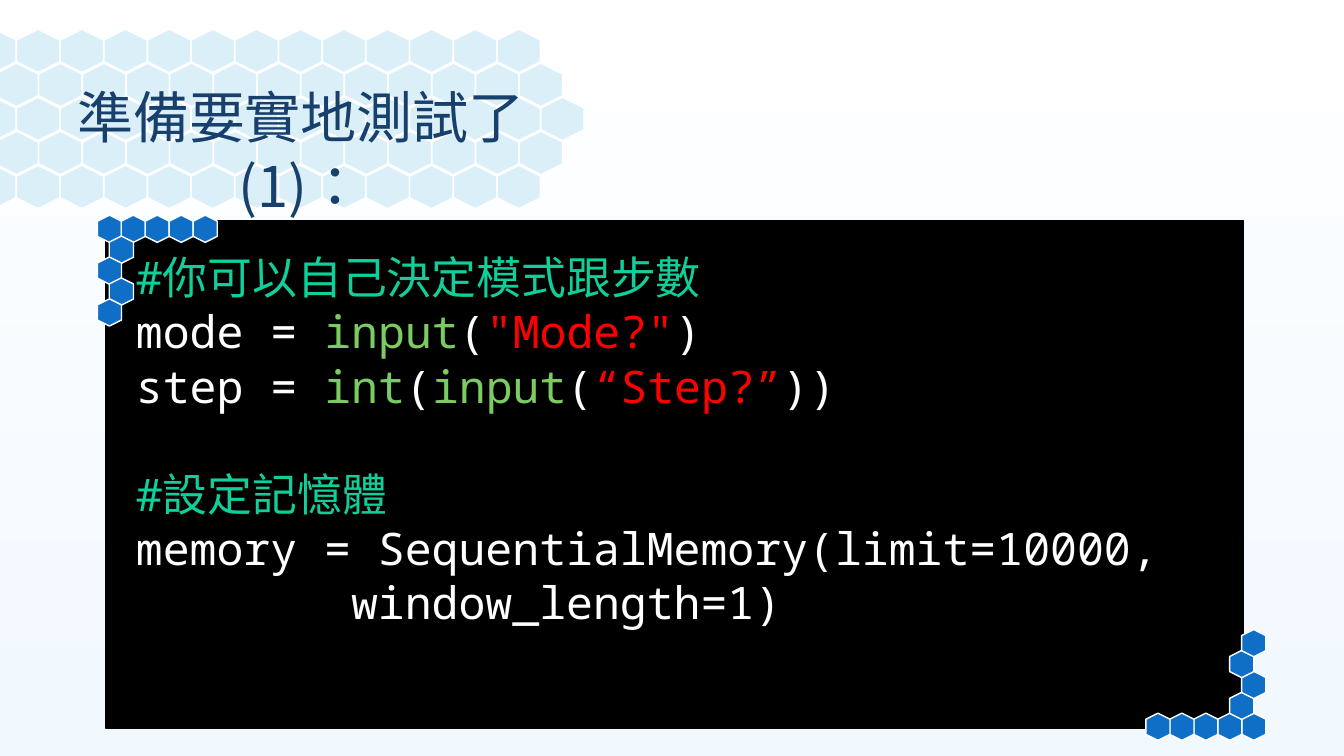
from dataclasses import dataclass

from lxml.etree import SubElement
from pptx import Presentation
from pptx.dml.color import RGBColor
from pptx.enum.shapes import MSO_SHAPE
from pptx.enum.text import MSO_ANCHOR, MSO_AUTO_SIZE, PP_ALIGN
from pptx.oxml.ns import qn
from pptx.util import Inches, Pt


@dataclass(frozen=True)
class Theme:
    sky_top: str = "FFFFFF"
    sky_bottom: str = "F1F8FE"
    panel: str = "000000"
    outline: str = "FFFFFF"
    pale: str = "DBEFF9"
    accent: str = "0F6FC6"
    title: str = "17406D"
    plain: str = "FFFFFF"
    comment: str = "10CF9B"
    builtin: str = "7CCA62"
    string: str = "FF0000"
    title_font: str = "Noto Sans CJK SC"
    code_font: str = "Noto Sans Mono"
    title_size: float = 40
    title_leading: float = 49.3
    code_size: float = 32
    code_leading: float = 38.6


THEME = Theme()
TITLE = [[("準備要實地測試了(1)：", THEME.title)]]
CODE_BLOCKS = [
    [
        [("#你可以自己決定模式跟步數", THEME.comment)],
        [("mode = ", THEME.plain), ("input", THEME.builtin), ("(", THEME.plain),
         ('"Mode?"', THEME.string), (")", THEME.plain)],
        [("step = ", THEME.plain), ("int", THEME.builtin), ("(", THEME.plain),
         ("input", THEME.builtin), ("(", THEME.plain), ("“Step?”", THEME.string),
         ("))", THEME.plain)],
    ],
    [
        [("#設定記憶體", THEME.comment)],
        [("memory = SequentialMemory(limit=10000,", THEME.plain)],
        [("        window_length=1)", THEME.plain)],
    ],
]

# Honeycomb rows behind the title: (left edge, number of cells)
HONEYCOMB_ROWS = [(-0.27, 13), (-0.05, 13), (-0.27, 14), (-0.05, 13), (-0.27, 13)]
HONEYCOMB_TOP = 0.29
HONEYCOMB_STEP = (5.2 / 12, 1.35 / 4)
HONEYCOMB_CELL = (0.43, 0.43)

# Corner ornaments: cells as (column, row), counted from the corner
CORNER_CELLS = [(column, 0) for column in range(5)] + [(0.5, 1), (0, 2), (0.5, 3), (0, 4)]
CORNER_STEP = (0.95 / 4, 0.83 / 4)
CORNER_CELL = (0.27, 0.24)
# left, top, direction, rotation
CORNERS = [(0.95, 2.15, 1, 90), (12.3, 7.09, -1, 270)]


def color(value):
    return RGBColor.from_string(value)


def add_panel(shapes, kind, left, top, size, fill, line, rotation=0):
    shape = shapes.add_shape(kind, Inches(left), Inches(top), *map(Inches, size))
    shape.rotation = rotation
    shape.shadow.inherit = False
    shape.fill.solid()
    shape.fill.fore_color.rgb = color(fill)
    shape.line.color.rgb = color(line)
    shape.line.width = Pt(1)


def add_hexagons(page, positions, size, fill, rotation):
    group = page.shapes.add_group_shape()
    for left, top in positions:
        add_panel(group.shapes, MSO_SHAPE.HEXAGON, left, top, size, fill,
                  THEME.outline, rotation)


def write(box, blocks, font, size, leading, align=PP_ALIGN.LEFT):
    """Fill a box with blocks of lines, leaving one line of space between blocks."""
    frame = box.text_frame
    frame.word_wrap = True
    frame.auto_size = MSO_AUTO_SIZE.NONE
    frame.vertical_anchor = MSO_ANCHOR.TOP
    para = frame.paragraphs[0]
    for block_index, block in enumerate(blocks):
        for line_index, line in enumerate(block):
            if block_index or line_index:
                para = frame.add_paragraph()
            para.alignment = align
            para.line_spacing = Pt(leading)
            para.space_before = Pt(leading if block_index and not line_index else 0)
            para.space_after = Pt(0)
            for text, ink in line:
                span = para.add_run()
                span.text = text
                span.font.name = font
                span.font.size = Pt(size)
                span.font.color.rgb = color(ink)
                properties = span.font._element
                properties.set("lang", "zh-TW")
                SubElement(properties, qn("a:ea")).set("typeface", THEME.title_font)


def main():
    deck = Presentation()
    deck.slide_width, deck.slide_height = Inches(13.33), Inches(7.5)
    page = deck.slides.add_slide(deck.slide_layouts[5])

    sky = page.background.fill
    sky.gradient()
    sky.gradient_angle = 270
    for stop, ink in zip(sky.gradient_stops, (THEME.sky_top, THEME.sky_bottom)):
        stop.color.rgb = color(ink)

    add_panel(page.shapes, MSO_SHAPE.RECTANGLE, 1.05, 2.19, (11.28, 5.04),
              THEME.panel, THEME.panel)

    step_x, step_y = CORNER_STEP
    for left, top, direction, rotation in CORNERS:
        positions = [(left + direction * column * step_x, top + direction * row * step_y)
                     for column, row in CORNER_CELLS]
        add_hexagons(page, positions, CORNER_CELL, THEME.accent, rotation)

    step_x, step_y = HONEYCOMB_STEP
    positions = [(left + column * step_x, HONEYCOMB_TOP + row * step_y)
                 for row, (left, count) in enumerate(HONEYCOMB_ROWS)
                 for column in range(count)]
    add_hexagons(page, positions, HONEYCOMB_CELL, THEME.pale, 90)

    code = page.shapes.add_textbox(Inches(1.25), Inches(2.43), Inches(12.04), Inches(3.87))
    write(code, CODE_BLOCKS, THEME.code_font, THEME.code_size, THEME.code_leading)

    title = page.shapes.title
    title.left, title.top = Inches(0.27), Inches(0.75)
    title.width, title.height = Inches(5.43), Inches(0.77)
    write(title, [TITLE], THEME.title_font, THEME.title_size, THEME.title_leading,
          align=PP_ALIGN.CENTER)
    page.shapes._spTree.append(title._element)  # bring the title in front of the honeycomb

    deck.save("out.pptx")


if __name__ == "__main__":
    main()
